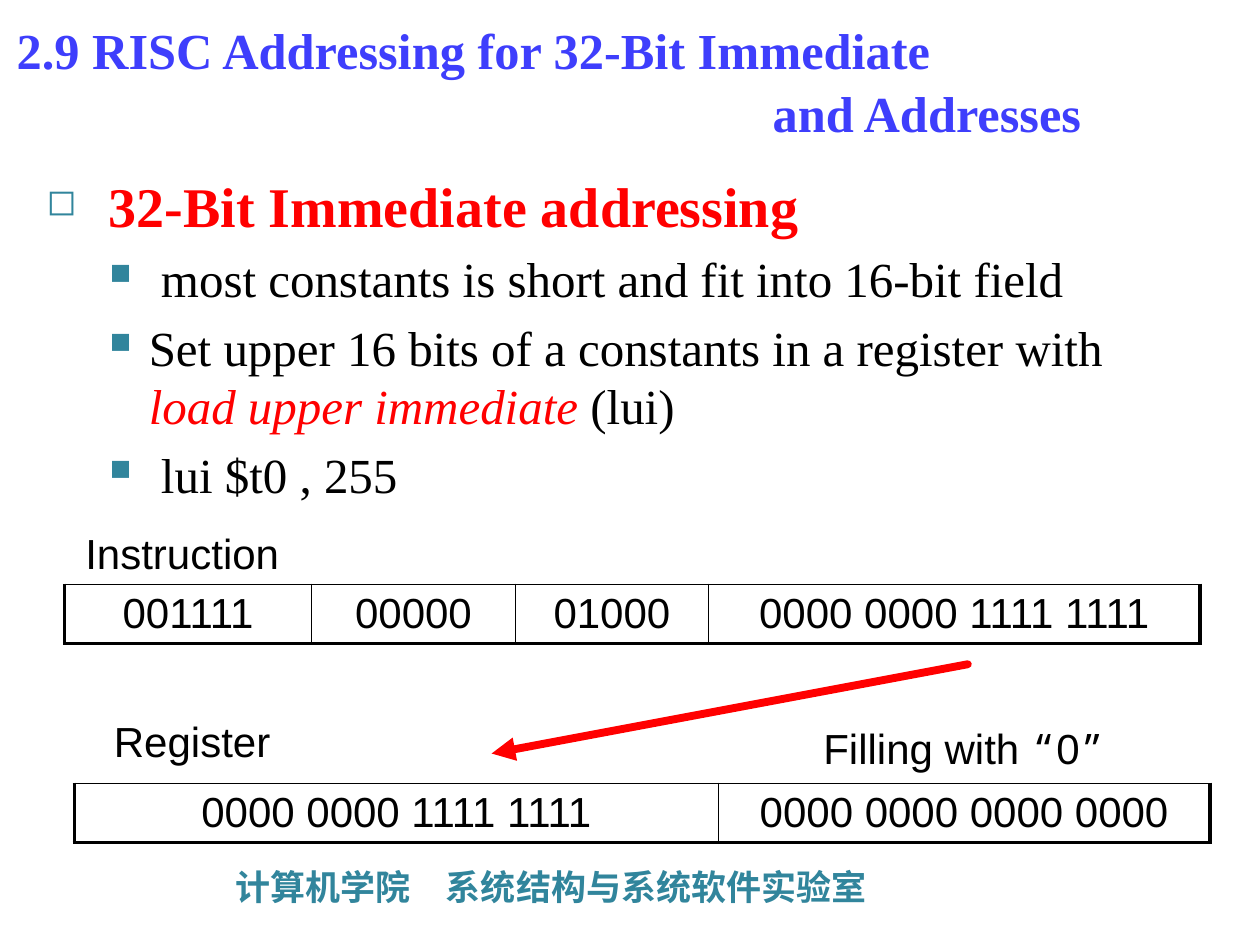
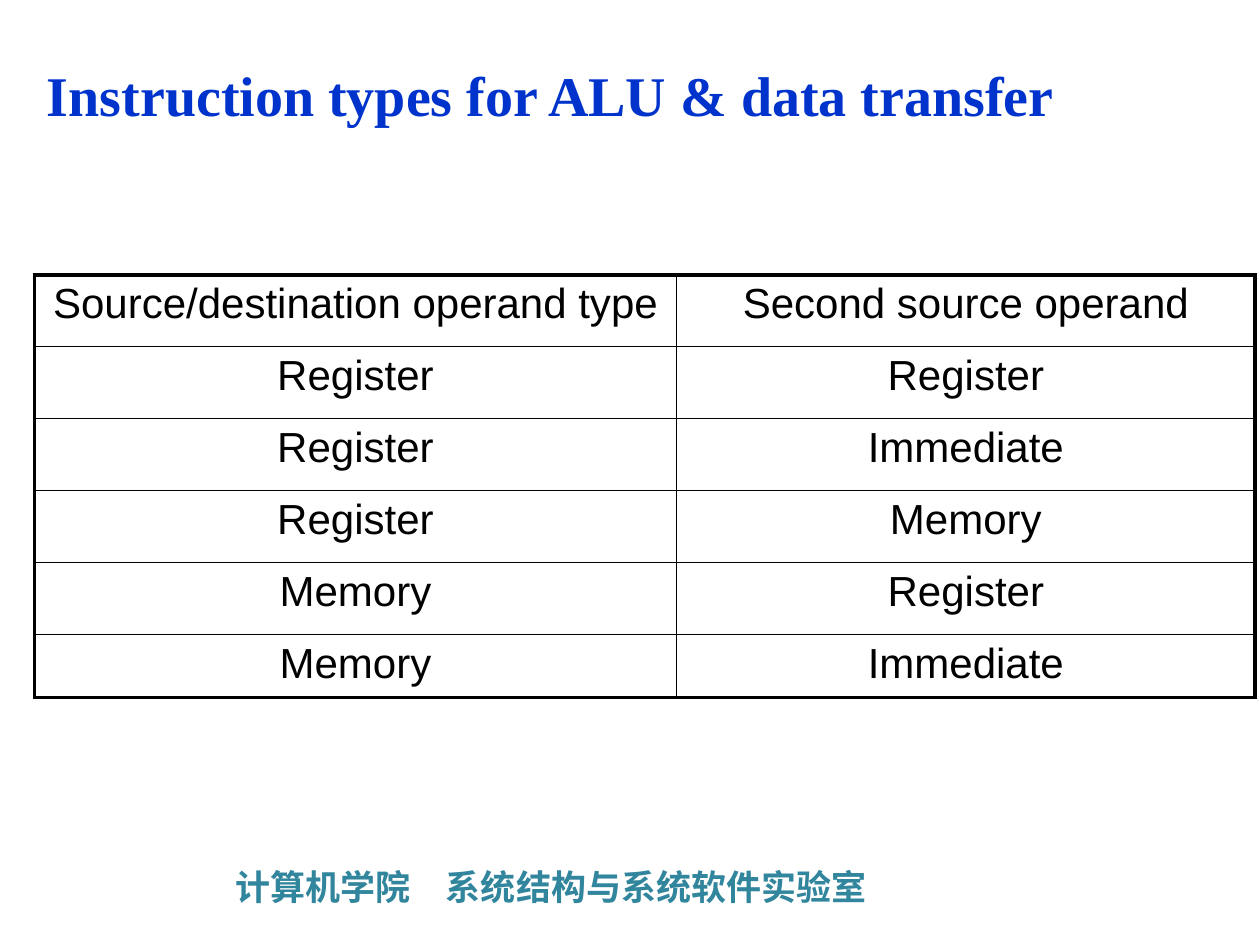
import dataclasses
import typing

import lxml.etree
import pptx
import pptx.dml.color
import pptx.enum.shapes
import pptx.enum.text
import pptx.oxml
import pptx.oxml.ns
import pptx.util

Cm = pptx.util.Cm
Pt = pptx.util.Pt
Color = pptx.dml.color.RGBColor

BLACK = Color(0x00, 0x00, 0x00)
RED = Color(0xFF, 0x00, 0x00)
TEAL = Color(0x31, 0x85, 0x9C)
VIOLET = Color(0x3E, 0x3E, 0xFC)
BLUE = Color(0x00, 0x33, 0xCC)

SERIF, SANS = "Times New Roman", "Arial"
MONO, HAN = "Noto Sans Mono", "Noto Sans CJK SC"
PLAIN_GRID = "{2D5ABB26-0587-4C30-8999-92F81FD0307C}"
THICK, THIN = 2.25, 1

HEAD = {"name": SERIF, "size": Pt(32), "bold": True}
POINT = {"name": SERIF, "size": Pt(28), "bold": False}
CELL = {"name": SANS, "size": Pt(24)}
QUOTE = {**CELL, "name": MONO}
FOOT = {"name": HAN, "size": Pt(20), "bold": True}


class Box(typing.NamedTuple):
    left: float
    top: float
    width: float
    height: float


class Run(typing.NamedTuple):
    text: str
    form: dict = CELL
    color: Color = BLACK


@dataclasses.dataclass
class Line:
    runs: list[Run]
    form: dict = dataclasses.field(default_factory=dict)
    indent: float = 0
    hang: float = 0
    mark: str = ""
    scale: int = 100


@dataclasses.dataclass
class Grid:
    left: float
    top: float
    cols: list[float]
    rows: list[float]
    cells: list[list]
    heads: int = 0
    edge: float = THIN
    spans: list[tuple[int, int, int]] = dataclasses.field(default_factory=list)


def child(node: typing.Any, tag: str, **attrs: typing.Any) -> typing.Any:
    part = lxml.etree.SubElement(node, pptx.oxml.ns.qn(tag))
    for key, val in attrs.items():
        part.set(key, str(val))
    return part


def write(para: typing.Any, line: Line) -> None:
    for key, val in line.form.items():
        setattr(para, key, val)
    props = para._p.get_or_add_pPr()
    props.set("marL", str(Cm(line.indent)))
    props.set("indent", str(Cm(line.hang)))
    if line.mark:
        child(child(props, "a:buClr"), "a:srgbClr", val=TEAL)
        child(props, "a:buSzPct", val=line.scale * 1000)
        child(props, "a:buChar", char=line.mark)
    for item in line.runs:
        run = para.add_run()
        run.text = item.text
        for key, val in item.form.items():
            setattr(run.font, key, val)
        run.font.color.rgb = item.color
        child(run._r.get_or_add_rPr(), "a:ea", typeface=item.form["name"])


def fill_text(frame: typing.Any, lines: list[Line]) -> None:
    frame.word_wrap = True
    frame.auto_size = pptx.enum.text.MSO_AUTO_SIZE.NONE
    for place, line in enumerate(lines):
        write(frame.add_paragraph() if place else frame.paragraphs[0], line)


def add_text(slide: typing.Any, box: Box, lines: list[Line]) -> typing.Any:
    shape = slide.shapes.add_textbox(*map(Cm, box))
    fill_text(shape.text_frame, lines)
    return shape


def add_slide(deck: typing.Any, box: Box, lines: list[Line]) -> typing.Any:
    slide = deck.slides.add_slide(deck.slide_layouts[5])
    title = slide.shapes.title
    for key, val in box._asdict().items():
        setattr(title, key, Cm(val))
    fill_text(title.text_frame, lines)
    title.text_frame.vertical_anchor = pptx.enum.text.MSO_ANCHOR.MIDDLE
    return slide


def add_edge(cell: typing.Any, side: str, width: float) -> None:
    edge = child(cell._tc.get_or_add_tcPr(), "a:ln" + side, w=Pt(width))
    if width:
        child(child(edge, "a:solidFill"), "a:srgbClr", val=BLACK)
    else:
        child(edge, "a:noFill")


def add_grid(slide: typing.Any, grid: Grid) -> None:
    deep, wide = len(grid.rows), len(grid.cols)
    box = Box(grid.left, grid.top, sum(grid.cols), sum(grid.rows))
    frame = slide.shapes.add_table(deep, wide, *map(Cm, box))
    table = frame.table
    table.first_row = table.horz_banding = False
    table._tbl.tblPr.find(pptx.oxml.ns.qn("a:tableStyleId")).text = PLAIN_GRID
    for col, width in zip(table.columns, grid.cols):
        col.width = Cm(width)
    for row, height in zip(table.rows, grid.rows):
        row.height = Cm(height)
    for row, first, last in grid.spans:
        table.cell(row, first).merge(table.cell(row, last))
    ends = {(row, first): last for row, first, last in grid.spans}
    center = {"alignment": pptx.enum.text.PP_ALIGN.CENTER}
    for row in range(deep):
        for col in range(wide):
            cell = table.cell(row, col)
            cell.margin_top = cell.margin_bottom = Cm(0.12)
            last = ends.get((row, col), col)
            if row < grid.heads:
                sides = {"L": 0, "R": 0, "T": 0, "B": THIN}
            else:
                sides = {
                    "L": THIN if col else THICK,
                    "R": THICK if last == wide - 1 else THIN,
                    "T": grid.edge if row == grid.heads else THIN,
                    "B": THICK if row == deep - 1 else THIN,
                }
            for side, width in sides.items():
                add_edge(cell, side, width)
            cell.fill.background()
            value = grid.cells[row][col]
            runs = [Run(value)] if isinstance(value, str) else value
            if not cell.is_spanned:
                write(cell.text_frame.paragraphs[0], Line(runs, center))


def add_arrow(slide: typing.Any, *ends: float) -> None:
    kind = pptx.enum.shapes.MSO_CONNECTOR.STRAIGHT
    arrow = slide.shapes.add_connector(kind, *map(Cm, ends))
    arrow.line.color.rgb = RED
    arrow.line.width = Pt(4.5)
    edge = arrow.line._get_or_add_ln()
    edge.set("cap", "rnd")
    child(edge, "a:tailEnd", type="triangle")
    child(arrow._element.spPr, "a:effectLst")


def add_foot(slide: typing.Any) -> None:
    runs = [Run("计算机学院　系统结构与系统软件实验室", FOOT, TEAL)]
    foot = add_text(slide, Box(4.5, 17.32, 18.39, 1.12), [Line(runs)])
    slide.slide_layout.shapes.element.append(foot._element)


def point(*runs: Run) -> Line:
    form = {"space_before": Pt(5.6)}
    return Line(list(runs), form, 2.06, -0.79, "■", 60)


def draw_long(deck: typing.Any) -> None:
    left = {"alignment": pptx.enum.text.PP_ALIGN.LEFT, "line_spacing": Pt(36)}
    form = {**HEAD, "size": Pt(28.8)}
    slide = add_slide(deck, Box(0.08, 0.33, 23.72, 2.54), [
        Line([Run("2.9 RISC Addressing for 32-Bit Immediate", form, VIOLET)],
             left),
        Line([Run("and Addresses", form, VIOLET)], left, indent=15.24),
    ])
    add_foot(slide)
    add_text(slide, Box(0.69, 3.33, 23.72, 13.59), [
        Line([Run(" 32-Bit Immediate addressing", HEAD, RED)],
             {"space_before": Pt(6.4)}, 0.97, -0.97, "◻", 65),
        point(Run(" most constants is short and fit into 16-bit field", POINT)),
        point(
            Run("Set upper 16 bits of a constants in a register with ", POINT),
            Run("load upper immediate ", {**POINT, "italic": True}, RED),
            Run("(lui)", POINT),
        ),
        point(Run(" lui $t0 , 255", POINT)),
    ])
    cols = [4.98, 4.11, 3.89, 9.91]
    low = "0000 0000 1111 1111"
    add_grid(slide, Grid(1.3, 10.59, cols, [1.19, 1.19], [
        ["Instruction ", "", "", ""],
        ["001111", "00000", "01000", low],
    ], heads=1))
    note = [Run("Filling with "), Run("“", QUOTE), Run("0"), Run("”", QUOTE)]
    add_grid(slide, Grid(1.5, 14.38, cols, [1.41, 1.19], [
        ["Register ", "", "", note],
        [low, "", "", "0000 0000 0000 0000"],
    ], heads=1, spans=[(1, 0, 2)]))
    add_arrow(slide, 19.51, 13.39, 9.91, 15.19)


def draw_types(deck: typing.Any) -> None:
    left = {"alignment": pptx.enum.text.PP_ALIGN.LEFT}
    text = "Instruction types for ALU & data transfer"
    slide = add_slide(deck, Box(0.69, 0.53, 22.61, 2.74),
                      [Line([Run(text, HEAD, BLUE)], left)])
    add_grid(slide, Grid(0.69, 5.54, [12.95, 11.66], [1.45] * 5 + [1.27], [
        ["Source/destination operand type", "Second source operand"],
        ["Register", "Register"],
        ["Register", "Immediate"],
        ["Register", "Memory"],
        ["Memory", "Register"],
        ["Memory", "Immediate"],
    ], edge=THICK))


def main() -> None:
    deck = pptx.Presentation()
    deck.slide_width, deck.slide_height = Cm(25.4), Cm(19.05)
    draw_long(deck)
    draw_types(deck)
    deck.save("out.pptx")


if __name__ == "__main__":
    main()
